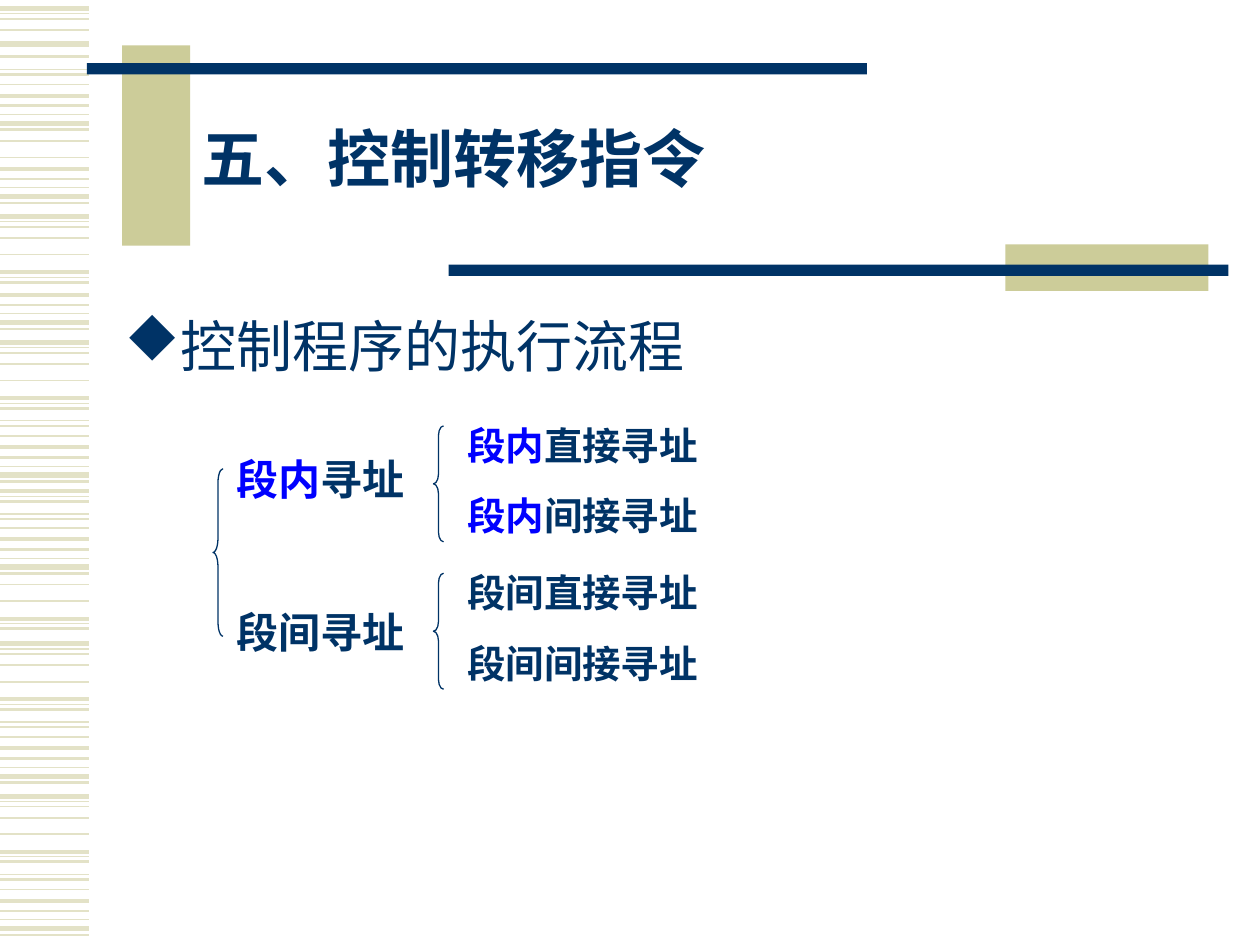
from dataclasses import dataclass

from lxml.etree import SubElement
from pptx import Presentation
from pptx.dml.color import RGBColor
from pptx.enum.shapes import MSO_CONNECTOR as Connector, MSO_SHAPE as Shape
from pptx.enum.text import MSO_ANCHOR as Anchor, MSO_AUTO_SIZE as AutoSize, PP_ALIGN as Align
from pptx.oxml.ns import qn
from pptx.util import Inches, Pt

COLUMNS, ROWS = 10, 7.5
CELL = Inches(1)
NAVY, BLUE, KHAKI, PALE = "003366", "0000FF", "CCCC99", "E3E2C7"
FONT = "Times New Roman"
DIAMOND_FONT, DIAMOND = "Wingdings", "u"
STRIPE_END = 0.71
BRACE_WIDTH = 0.08


@dataclass(frozen=True)
class Box:
    col: float
    row: float
    cols: float
    rows: float

    def emu(self) -> tuple[int, ...]:
        return tuple(round(v * CELL) for v in (self.col, self.row, self.cols, self.rows))


@dataclass(frozen=True)
class Stripe:
    offset: float
    weight: float


@dataclass(frozen=True)
class Branch:
    box: Box
    lines: tuple[tuple[tuple[str, str], ...], ...]
    size: float
    gap: float


@dataclass(frozen=True)
class Brace:
    col: float
    row: float
    rows: float


SHORT_BAND = (Stripe(-0.24, 1), Stripe(-0.15, 2.25), Stripe(-0.07, 1.5),
              Stripe(0, 0.75), Stripe(0.07, 3), Stripe(0.12, 1.5))
LONG_BAND = (Stripe(0, 3), Stripe(0.04, 0.75), Stripe(0.08, 1), Stripe(0.17, 1),
             Stripe(0.3, 1), Stripe(0.44, 2.25), Stripe(0.48, 0.75),
             Stripe(0.52, 1.5), Stripe(0.62, 0.75), Stripe(0.66, 1.5))
BANDS = (
    *((row, SHORT_BAND) for row in (0.91, 1.49, 3.7, 4.43, 6.09, 7.3)),
    (2.49, SHORT_BAND[1:]),
    *((row, LONG_BAND) for row in (2.72, 5.11, 6.32)),
    (-0.07, LONG_BAND[7:]),
    (0.07, LONG_BAND[:4]),
    (0.35, LONG_BAND[:1]),
    (1.04, LONG_BAND[2:3]),
    (1.72, LONG_BAND[:8]),
    (3.46, LONG_BAND[5:]),
    (4.47, LONG_BAND[3:8]),
)
BARS = (
    (Box(0.97, 0.36, 0.54, 1.59), KHAKI),
    (Box(0.69, 0.5, 6.19, 0.09), NAVY),
    (Box(7.98, 1.94, 1.61, 0.37), KHAKI),
    (Box(3.56, 2.1, 6.19, 0.09), NAVY),
)
TITLE_BOX = Box(1.5, 0.67, 8.07, 1.25)
TOPIC = Branch(Box(0.89, 2.42, 8.7, 4.24), ((("控制程序的执行流程", NAVY),),), 32, 8)
BRANCHES = (
    Branch(Box(1.78, 3.55, 7.17, 1.72),
           ((("段内", BLUE), ("寻址", NAVY)), (("段间寻址", NAVY),)), 24, 58.4),
    Branch(Box(3.61, 3.3, 2.75, 1.03),
           ((("段内", BLUE), ("直接寻址", NAVY)), (("段内", BLUE), ("间接寻址", NAVY))), 22, 13.8),
    Branch(Box(3.61, 4.47, 2.75, 1.03),
           ((("段间直接寻址", NAVY),), (("段间间接寻址", NAVY),)), 22, 13.8),
)
BRACES = (Brace(1.69, 3.72, 1.33), Brace(3.44, 3.38, 0.92), Brace(3.44, 4.55, 0.92))


def colour(value: str) -> RGBColor:
    return RGBColor.from_string(value)


def style_run(run, size: float, hue: str, bold: bool) -> None:
    run.font.name = FONT
    run.font.size = Pt(size)
    run.font.bold = bold
    run.font.color.rgb = colour(hue)


def draw_stripe(slide, row: float, weight: float) -> None:
    y = round(row * CELL)
    stripe = slide.shapes.add_connector(Connector.STRAIGHT, 0, y, round(STRIPE_END * CELL), y)
    stripe.line.color.rgb = colour(PALE)
    stripe.line.width = Pt(weight)
    SubElement(stripe._element.spPr, qn("a:effectLst"))


def draw_bar(slide, box: Box, hue: str) -> None:
    bar = slide.shapes.add_shape(Shape.RECTANGLE, *box.emu())
    bar.shadow.inherit = False
    bar.fill.solid()
    bar.fill.fore_color.rgb = colour(hue)
    bar.line.fill.background()


def draw_brace(slide, brace: Brace) -> None:
    box = Box(brace.col, brace.row, BRACE_WIDTH, brace.rows)
    outline = slide.shapes.add_shape(Shape.LEFT_BRACE, *box.emu())
    outline.adjustments[0] = brace.rows / BRACE_WIDTH / 12
    outline.shadow.inherit = False
    outline.fill.background()
    outline.line.color.rgb = colour(NAVY)
    outline.line.width = Pt(0.75)


def write_branch(slide, branch: Branch, bold: bool = True):
    frame = slide.shapes.add_textbox(*branch.box.emu()).text_frame
    frame.word_wrap = True
    for index, line in enumerate(branch.lines):
        paragraph = frame.add_paragraph() if index else frame.paragraphs[0]
        paragraph.space_before = Pt(branch.gap)
        for words, hue in line:
            run = paragraph.add_run()
            run.text = words
            style_run(run, branch.size, hue, bold)
    return frame


def add_diamond(paragraph) -> None:
    props = paragraph._p.get_or_add_pPr()
    indent = round(0.38 * CELL)
    props.set("marL", str(indent))
    props.set("indent", str(-indent))
    SubElement(SubElement(props, qn("a:buClr")), qn("a:srgbClr")).set("val", NAVY)
    face = SubElement(props, qn("a:buFont"))
    face.set("typeface", DIAMOND_FONT)
    face.set("pitchFamily", "2")
    face.set("charset", "2")
    SubElement(props, qn("a:buChar")).set("char", DIAMOND)


def write_title(slide) -> None:
    title = slide.shapes.title
    title.left, title.top, title.width, title.height = TITLE_BOX.emu()
    frame = title.text_frame
    frame.text = "五、控制转移指令"
    frame.auto_size = AutoSize.NONE
    frame.vertical_anchor = Anchor.MIDDLE
    heading = frame.paragraphs[0]
    heading.alignment = Align.LEFT
    heading.line_spacing = 0.85
    style_run(heading.runs[0], 36, NAVY, True)


def main() -> None:
    deck = Presentation()
    deck.slide_width, deck.slide_height = round(COLUMNS * CELL), round(ROWS * CELL)
    slide = deck.slides.add_slide(deck.slide_layouts[5])
    for row, band in BANDS:
        for stripe in band:
            draw_stripe(slide, row + stripe.offset, stripe.weight)
    for box, hue in BARS:
        draw_bar(slide, box, hue)
    write_title(slide)
    add_diamond(write_branch(slide, TOPIC, bold=False).paragraphs[0])
    for branch in BRANCHES:
        write_branch(slide, branch)
    for brace in BRACES:
        draw_brace(slide, brace)
    deck.save("out.pptx")


if __name__ == "__main__":
    main()
